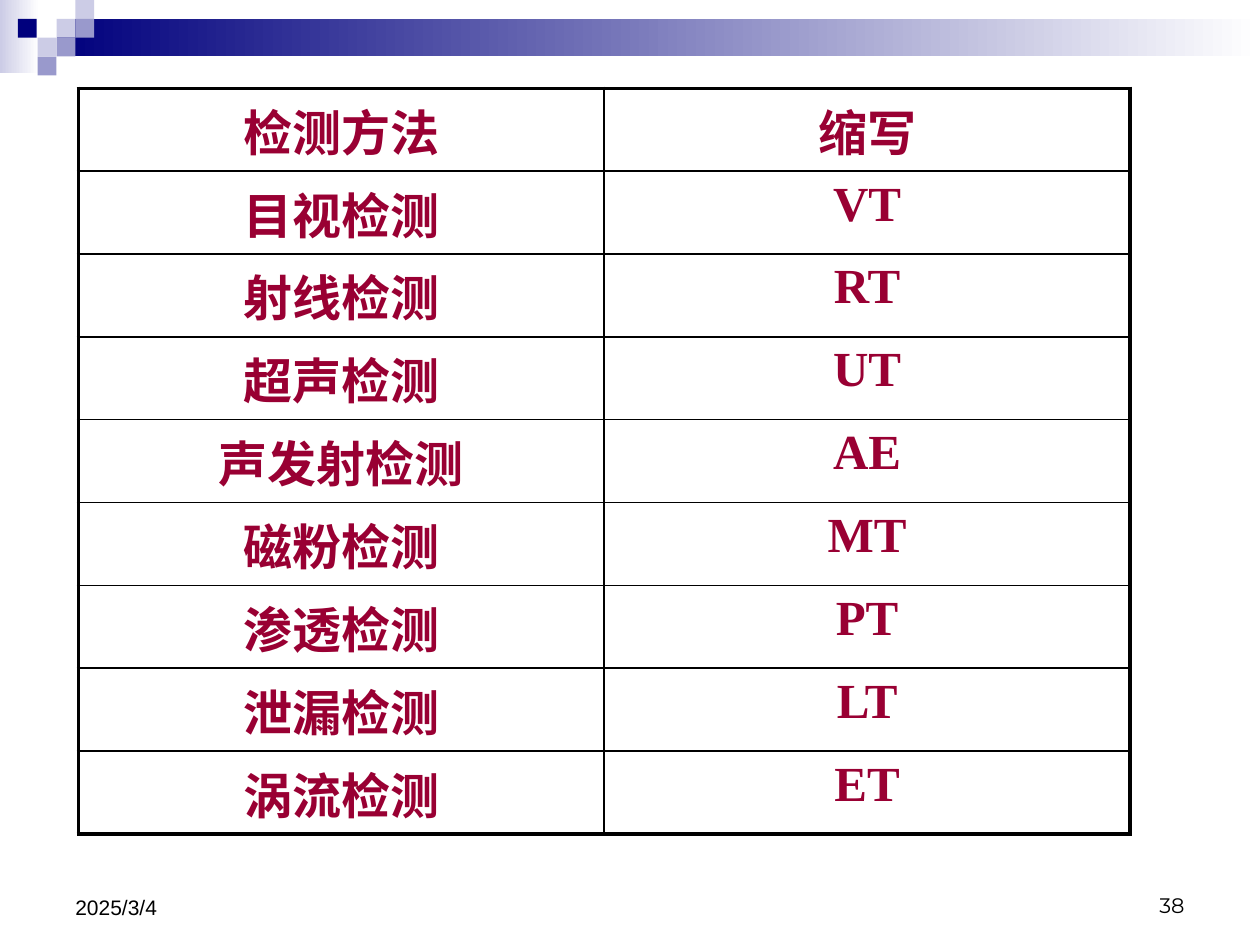
from lxml.etree import SubElement
from pptx import Presentation
from pptx.dml.color import RGBColor
from pptx.enum.shapes import MSO_SHAPE
from pptx.enum.text import MSO_ANCHOR, PP_ALIGN
from pptx.oxml import parse_xml
from pptx.oxml.ns import nsdecls, qn
from pptx.util import Cm, Pt

NAVY, LILAC, VIOLET, WHITE = "00007D", "CCCCE6", "9999CC", "FFFFFF"
BLACK, CRIMSON = "000000", "990033"
UNIT = 0.38
TILES = [(1, 1, LILAC), (2, 0, LILAC), (2, 1, VIOLET), (0, 2, LILAC),
         (1, 2, VIOLET), (0, 3, VIOLET)]
METHODS = [("检测方法", "缩写"), ("目视检测", "VT"), ("射线检测", "RT"),
           ("超声检测", "UT"), ("声发射检测", "AE"), ("磁粉检测", "MT"),
           ("渗透检测", "PT"), ("泄漏检测", "LT"), ("涡流检测", "ET")]


def rgb(value):
    """Turn a hex string into a colour."""
    return RGBColor.from_string(value)


def set_format(r, color, **values):
    """Apply a colour and font values to a run."""
    r.font.color.rgb = rgb(color)
    for name, value in values.items():
        setattr(r.font, name, value)


def add_rect(s, box, *colors):
    """Add a borderless rectangle, solid or fading between two colours."""
    sp = s.shapes.add_shape(MSO_SHAPE.RECTANGLE, *map(Cm, box))
    sp.shadow.inherit = False
    sp.line.fill.background()
    if len(colors) == 1:
        sp.fill.solid()
        sp.fill.fore_color.rgb = rgb(colors[0])
        return
    sp.fill.gradient()
    sp.fill.gradient_angle = 0
    for stop, color, position in zip(sp.fill.gradient_stops, colors, (0, 1)):
        stop.color.rgb = rgb(color)
        stop.position = position


def add_header(s):
    """Draw the fading bar and the mosaic of tiles."""
    add_rect(s, (0, 0, 0.79, 1.47), LILAC, WHITE)
    add_rect(s, (1.14, UNIT, 24.26, 2 * UNIT), NAVY, WHITE)
    for col, row, color in TILES:
        add_rect(s, (2 * UNIT + col * UNIT, row * UNIT, UNIT, UNIT), color)
    add_rect(s, (0.36, UNIT, UNIT, UNIT), NAVY)


def add_footer(s, box, text, font, align):
    """Add a bottom-anchored footer text."""
    tf = s.shapes.add_textbox(*map(Cm, box)).text_frame
    tf.word_wrap = True
    tf.vertical_anchor = MSO_ANCHOR.BOTTOM
    p = tf.paragraphs[0]
    p.alignment = align
    r = p.add_run()
    r.text = text
    set_format(r, BLACK, name=font, size=Pt(12))


def set_borders(cell, widths):
    """Draw the left, right, top and bottom cell borders."""
    tcPr = cell._tc.get_or_add_tcPr()
    for i, (side, width) in enumerate(zip("LRTB", widths)):
        tcPr.insert(i, parse_xml(
            f'<a:ln{side} {nsdecls("a")} w="{Pt(width)}"><a:solidFill>'
            f'<a:srgbClr val="{BLACK}"/></a:solidFill></a:ln{side}>'))


def fill_cell(cell, text, font):
    """Write centred bold text with relative space before it."""
    cell.fill.background()
    p = cell.text_frame.paragraphs[0]
    p.alignment = PP_ALIGN.CENTER
    space = SubElement(p._p.get_or_add_pPr(), qn("a:spcBef"))
    SubElement(space, qn("a:spcPct")).set("val", "20000")
    r = p.add_run()
    r.text = text
    set_format(r, CRIMSON, name=font, size=Pt(28), bold=True)


def add_methods(s, rows):
    """Add the table of methods with a heavy outer frame."""
    box = map(Cm, (1.58, 1.78, 21.2, 1.67 * len(rows)))
    table = s.shapes.add_table(len(rows), 2, *box).table
    table.first_row = table.horz_banding = False
    for i, row in enumerate(rows):
        for j, text in enumerate(row):
            cell = table.cell(i, j)
            fill_cell(cell, text, "Times New Roman" if i else "Arial")
            outer = (j == 0, j == 1, i == 0, i == len(rows) - 1)
            set_borders(cell, [2.25 if edge else 1 for edge in outer])


def main():
    """Build and save the slide."""
    prs = Presentation()
    prs.slide_width, prs.slide_height = Cm(25.4), Cm(19.05)
    s = prs.slides.add_slide(prs.slide_layouts[6])
    add_header(s)
    add_footer(s, (18.2, 17.35, 5.93, 1.27), "38", "Montserrat", PP_ALIGN.RIGHT)
    add_footer(s, (1.27, 17.35, 5.93, 1.32), "2025/3/4", "Arial", PP_ALIGN.LEFT)
    add_methods(s, METHODS)
    prs.save("out.pptx")


if __name__ == "__main__":
    main()
